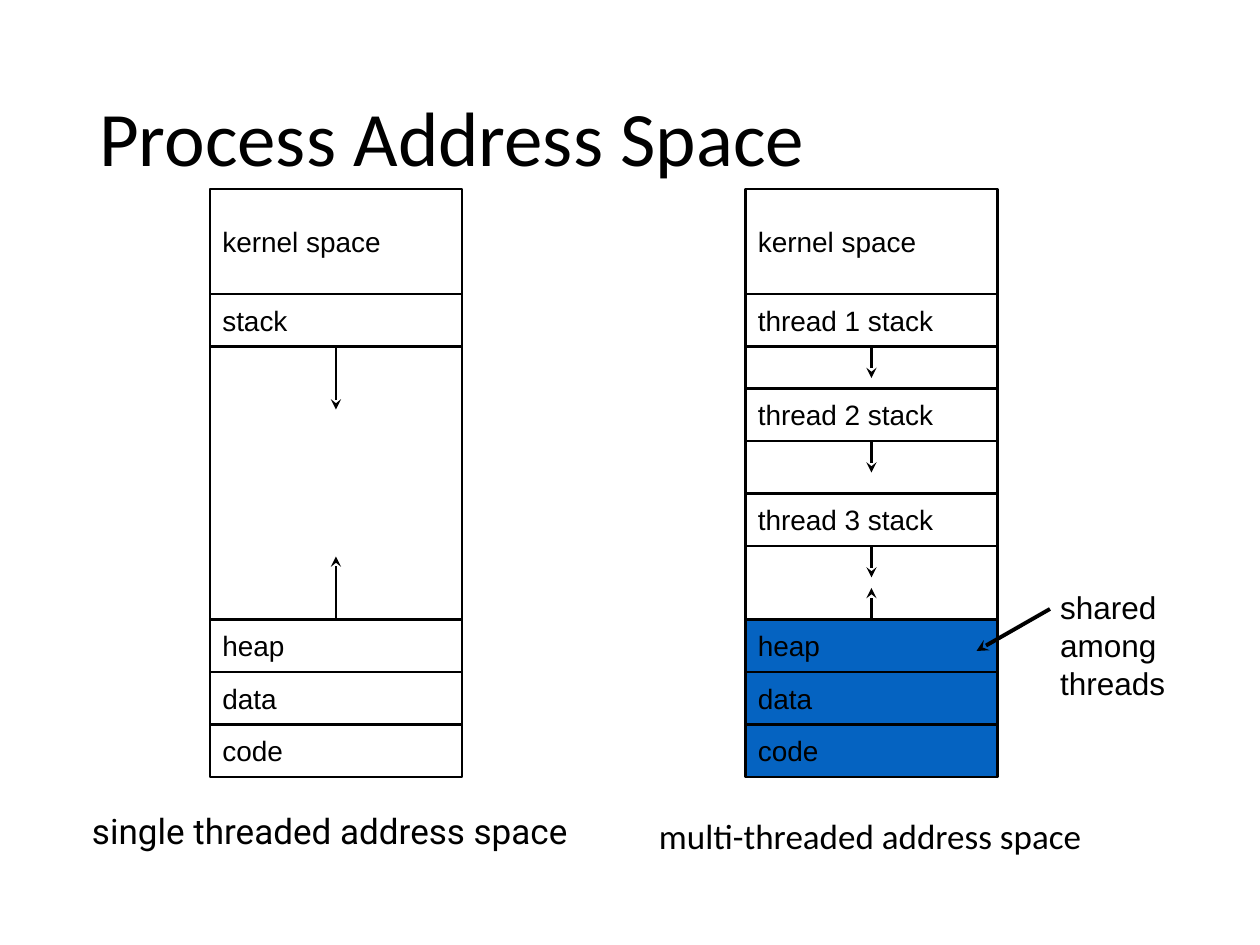
"""Build a slide comparing single and multi-threaded process address spaces."""
from dataclasses import dataclass
from typing import Optional

from lxml.etree import SubElement
from pptx import Presentation
from pptx.dml.color import RGBColor
from pptx.enum.shapes import MSO_CONNECTOR, MSO_SHAPE
from pptx.enum.text import MSO_ANCHOR, MSO_AUTO_SIZE, PP_ALIGN
from pptx.oxml.ns import qn
from pptx.shapes.autoshape import Shape
from pptx.slide import Slide
from pptx.util import Pt

BLACK = RGBColor(0x00, 0x00, 0x00)
SHARED_BLUE = RGBColor(0x05, 0x63, 0xC1)

COLUMN_WIDTH = 144
KERNEL_TOP = 108
KERNEL_HEIGHT = 60
ROW_HEIGHT = 30
STACK_TOP = KERNEL_TOP + KERNEL_HEIGHT
FREE_TOP = STACK_TOP + ROW_HEIGHT
HEAP_TOP = 354
SEGMENTS = ("heap", "data", "code")


@dataclass(frozen=True)
class Stack:
    label: str
    top: float


@dataclass(frozen=True)
class AddressSpace:
    left: float
    stacks: tuple[Stack, ...]
    growth: float
    segment_fill: Optional[RGBColor] = None


@dataclass(frozen=True)
class Caption:
    text: str
    left: float
    width: float
    font: str
    hanging: float
    line_spacing: float
    space_before: float
    space_after: float


ADDRESS_SPACES = (
    AddressSpace(120, (Stack("stack", STACK_TOP),), 36),
    AddressSpace(
        426,
        (
            Stack("thread 1 stack", STACK_TOP),
            Stack("thread 2 stack", 222),
            Stack("thread 3 stack", 282),
        ),
        18,
        SHARED_BLUE,
    ),
)

CAPTIONS = (
    Caption("single threaded address space", 45.5, 308, "Roboto", 18, 0.9, 10, 0),
    Caption("multi-threaded address space", 369.5, 296.5, "Calibri", 23, Pt(24), 6, 4),
)


def write_text(box: Shape, text: str, size: float, font: str) -> None:
    """Set the text of a shape as one left-aligned black run."""
    box.text_frame.text = text
    para = box.text_frame.paragraphs[0]
    para.alignment = PP_ALIGN.LEFT
    span = para.runs[0]
    span.font.size = Pt(size)
    span.font.name = font
    span.font.color.rgb = BLACK


def draw_block(
    page: Slide,
    left: float,
    top: float,
    height: float,
    label: str = "",
    fill: Optional[RGBColor] = None,
) -> None:
    """Draw one outlined region of an address space."""
    box = page.shapes.add_shape(
        MSO_SHAPE.RECTANGLE, Pt(left), Pt(top), Pt(COLUMN_WIDTH), Pt(height)
    )
    box.shadow.inherit = False
    box.line.color.rgb = BLACK
    box.line.width = Pt(1.5)
    if fill is None:
        box.fill.background()
    else:
        box.fill.solid()
        box.fill.fore_color.rgb = fill
    if label:
        box.text_frame.word_wrap = False
        box.text_frame.vertical_anchor = MSO_ANCHOR.MIDDLE
        write_text(box, label, 16, "Arial")


def draw_arrow(
    page: Slide,
    start: tuple[float, float],
    end: tuple[float, float],
    width: float = 1.5,
) -> None:
    """Draw a straight line with a stealth arrowhead at its end."""
    arrow = page.shapes.add_connector(
        MSO_CONNECTOR.STRAIGHT, *(Pt(length) for length in start + end)
    )
    arrow.line.color.rgb = BLACK
    arrow.line.width = Pt(width)
    SubElement(arrow.line._get_or_add_ln(), qn("a:tailEnd"), type="stealth")
    SubElement(arrow._element.spPr, qn("a:effectLst"))


def draw_address_space(page: Slide, space: AddressSpace) -> None:
    """Draw a column of regions with its growth arrows."""
    center = space.left + COLUMN_WIDTH / 2
    draw_block(page, space.left, KERNEL_TOP, KERNEL_HEIGHT, "kernel space")
    draw_block(page, space.left, FREE_TOP, HEAP_TOP - FREE_TOP)
    for index, label in enumerate(SEGMENTS):
        top = HEAP_TOP + index * ROW_HEIGHT
        draw_block(page, space.left, top, ROW_HEIGHT, label, space.segment_fill)
    for stack in space.stacks:
        bottom = stack.top + ROW_HEIGHT
        draw_block(page, space.left, stack.top, ROW_HEIGHT, stack.label)
        draw_arrow(page, (center, bottom), (center, bottom + space.growth))
    draw_arrow(page, (center, HEAP_TOP), (center, HEAP_TOP - space.growth))


def add_text(
    page: Slide,
    text: str,
    left: float,
    top: float,
    width: float,
    height: float,
    size: float,
    font: str,
) -> Shape:
    """Add a wrapping text box."""
    box = page.shapes.add_textbox(Pt(left), Pt(top), Pt(width), Pt(height))
    box.text_frame.word_wrap = True
    write_text(box, text, size, font)
    return box


def add_caption(page: Slide, caption: Caption) -> None:
    """Add the hanging-indent caption below an address space."""
    box = add_text(
        page, caption.text, caption.left, 462, caption.width, 42, 20, caption.font
    )
    para = box.text_frame.paragraphs[0]
    para.line_spacing = caption.line_spacing
    para.space_before = Pt(caption.space_before)
    para.space_after = Pt(caption.space_after)
    properties = para._p.get_or_add_pPr()
    properties.set("marL", str(Pt(caption.hanging)))
    properties.set("indent", str(-Pt(caption.hanging)))


def add_title(page: Slide, text: str) -> None:
    """Place and format the title placeholder."""
    title = page.shapes.title
    title.left, title.top = Pt(49.5), Pt(28.75)
    title.width, title.height = Pt(621), Pt(104.5)
    title.text_frame.auto_size = MSO_AUTO_SIZE.NONE
    title.text_frame.vertical_anchor = MSO_ANCHOR.MIDDLE
    write_text(title, text, 44, "Calibri")
    title.text_frame.paragraphs[0].line_spacing = 0.9


def main() -> None:
    """Assemble and save the deck."""
    deck = Presentation()
    deck.slide_width, deck.slide_height = Pt(720), Pt(540)
    page = deck.slides.add_slide(deck.slide_layouts[5])
    add_title(page, "Process Address Space")
    for space in ADDRESS_SPACES:
        draw_address_space(page, space)
    draw_arrow(page, (600, 348), (558, 372), 2.25)
    add_text(page, "shared among threads", 598.75, 332.75, 91.5, 72, 18, "Arial")
    for caption in CAPTIONS:
        add_caption(page, caption)
    deck.save("out.pptx")


if __name__ == "__main__":
    main()
